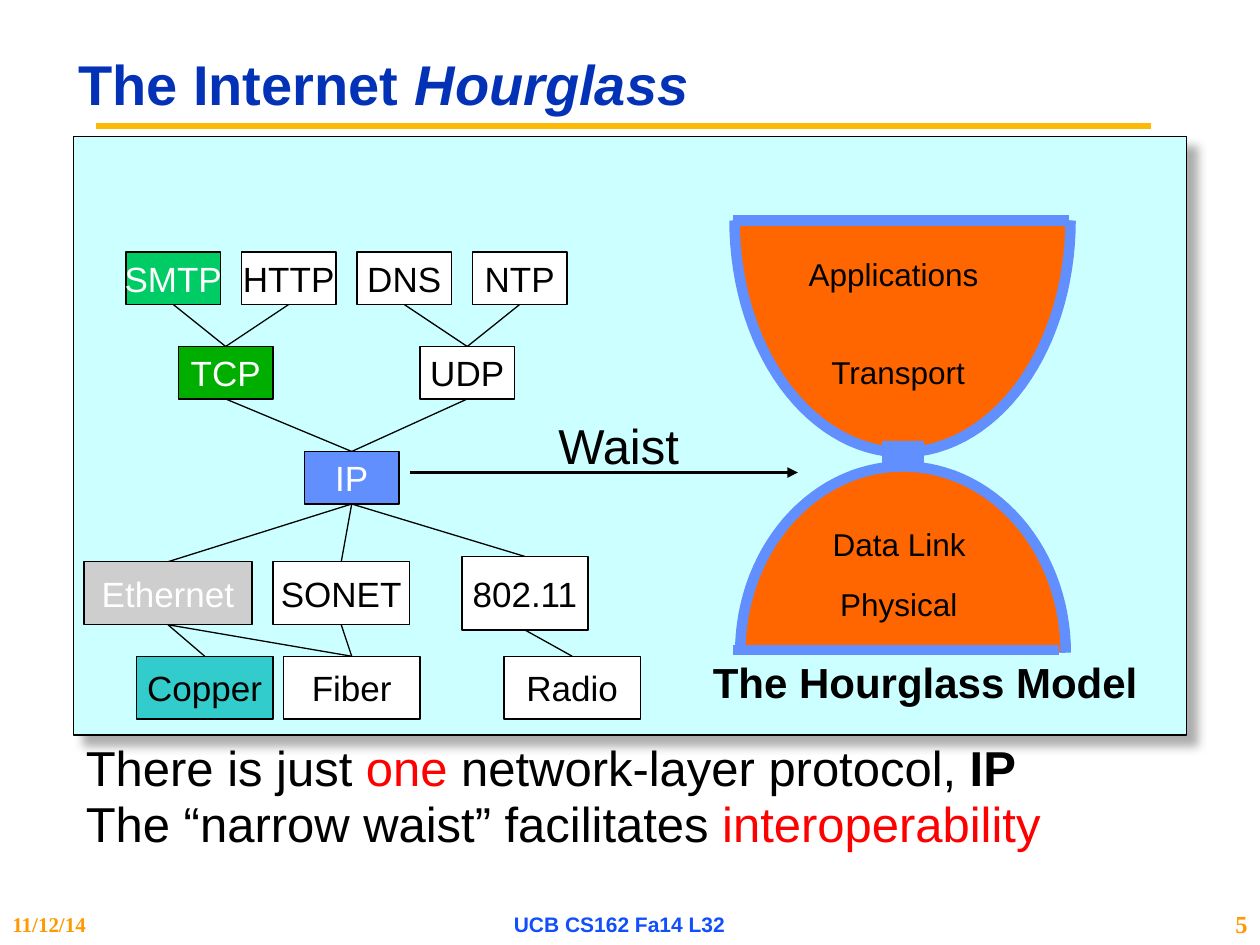
"""Build the Internet hourglass slide: a protocol graph beside the hourglass model."""
import math

from lxml import etree
from pptx import Presentation
from pptx import util as u
from pptx.dml.color import RGBColor
from pptx.enum import shapes, text
from pptx.oxml.ns import qn

BLACK, WHITE, RED = "000000", "FFFFFF", "FF0000"
BLUE, ORANGE, GOLD = "618FFD", "FF6600", "FF9900"
LEFT, CENTER, RIGHT = text.PP_ALIGN.LEFT, text.PP_ALIGN.CENTER, text.PP_ALIGN.RIGHT
TOP, MIDDLE = text.MSO_ANCHOR.TOP, text.MSO_ANCHOR.MIDDLE

TITLE = [("The Internet ", "0332B7", "b"), ("Hourglass", "0332B7", "bi")]

ROWS = [
    (144, 54, 30, [("SMTP", 72, "00CC66", WHITE), ("HTTP", 138, WHITE, BLACK),
                   ("DNS", 204, WHITE, BLACK), ("NTP", 270, WHITE, BLACK)]),
    (198, 54, 30, [("TCP", 102, "00AE00", WHITE), ("UDP", 240, WHITE, BLACK)]),
    (258, 54, 30, [("IP", 174, BLUE, WHITE)]),
    (321, 96, 36, [("Ethernet", 48, "CECECE", WHITE)]),
    (321, 78, 36, [("SONET", 156, WHITE, BLACK)]),
    (318, 72, 42, [("802.11", 264, WHITE, BLACK)]),
    (375, 78, 36, [("Copper", 78, "33CCCC", BLACK), ("Fiber", 162, WHITE, BLACK),
                   ("Radio", 288, WHITE, BLACK)]),
]

LINKS = [
    ("SMTP", "TCP"), ("HTTP", "TCP"), ("DNS", "UDP"), ("NTP", "UDP"),
    ("TCP", "IP"), ("UDP", "IP"),
    ("IP", "Ethernet"), ("IP", "SONET"), ("IP", "802.11"),
    ("Ethernet", "Copper"), ("Ethernet", "Fiber"), ("SONET", "Fiber"), ("802.11", "Radio"),
]

BOWLS = [(515.75, 126, 96, 132.5), (516, 373, 93, -106.5)]
RIMS = [(419, 126, 611, 126), (419, 371.5, 605, 371.5)]

LABELS = [
    ("Applications", 455, 142, 160, 36, 18, ""),
    ("Transport", 468, 198, 126, 36, 18, ""),
    ("Data Link", 468.75, 296.5, 124, 36, 18, ""),
    ("Physical", 473, 330.5, 113, 36, 18, ""),
    ("The Hourglass Model", 400.25, 371.5, 260, 37, 24, "b"),
]

NOTES = [
    [("There is just ", BLACK, ""), ("one", RED, ""),
     (" network-layer protocol, ", BLACK, ""), ("IP", BLACK, "b")],
    [("The “narrow waist” facilitates ", BLACK, ""), ("interoperability", RED, "")],
]

FOOTERS = [
    ("11/12/14", 0, 120, LEFT, 12, "Times New Roman", GOLD),
    ("UCB CS162 Fa14 L32", 240, 228, CENTER, 12, "Arial", "114FFB"),
    ("5", 678, 42, RIGHT, 14, "Times New Roman", GOLD),
]


def color(value):
    return RGBColor.from_string(value)


def paint(shape, fill=None, line=None, weight=0.75):
    shape.shadow.inherit = False
    if fill:
        shape.fill.solid()
        shape.fill.fore_color.rgb = color(fill)
    if line:
        shape.line.color.rgb = color(line)
        shape.line.width = u.Pt(weight)
    else:
        shape.line.fill.background()


def add_rect(slide, area, fill, line=None):
    box = slide.shapes.add_shape(shapes.MSO_SHAPE.RECTANGLE, *map(u.Pt, area))
    paint(box, fill, line)
    return box


def add_line(slide, ends, line, weight=0.75, arrow=False):
    link = slide.shapes.add_connector(shapes.MSO_CONNECTOR.STRAIGHT, *map(u.Pt, ends))
    link.line.color.rgb = color(line)
    link.line.width = u.Pt(weight)
    if arrow:
        etree.SubElement(link.line._get_or_add_ln(), qn("a:tailEnd"), type="triangle")
    etree.SubElement(link._element.spPr, qn("a:effectLst"))


def write(shape, paragraphs, size, font="Arial", align=LEFT, anchor=TOP, wrap=True,
          spacing=1.0, before=0):
    frame = shape.text_frame
    frame.word_wrap = wrap
    frame.vertical_anchor = anchor
    for index, spans in enumerate(paragraphs):
        para = frame.add_paragraph() if index else frame.paragraphs[0]
        para.alignment = align
        para.line_spacing = spacing
        para.space_before = u.Pt(0 if index else before)
        for words, ink, style in spans:
            span = para.add_run()
            span.text = words
            span.font.name = font
            span.font.size = u.Pt(size)
            span.font.color.rgb = color(ink)
            span.font.bold = "b" in style
            span.font.italic = "i" in style


def add_text(slide, area, paragraphs, size, **options):
    write(slide.shapes.add_textbox(*map(u.Pt, area)), paragraphs, size, **options)


def add_panel(slide):
    panel = add_rect(slide, (42, 78, 636, 342), "CCFFFF", BLACK)
    effects = panel._element.spPr.find(qn("a:effectLst"))
    shadow = etree.SubElement(effects, qn("a:outerShdw"), blurRad=str(u.Pt(5)),
                              dist=str(u.Pt(8.5)), dir="2700000", algn="ctr", rotWithShape="0")
    tint = etree.SubElement(shadow, qn("a:srgbClr"), val="919191")
    etree.SubElement(tint, qn("a:alpha"), val="75000")


def add_bowl(slide, center, base, radius, depth, steps=60):
    angles = [math.pi * step / steps for step in range(steps + 1)]
    points = [(u.Pt(center - radius * math.cos(angle)), u.Pt(base + depth * math.sin(angle)))
              for angle in angles]
    builder = slide.shapes.build_freeform(*points[0])
    builder.add_line_segments(points[1:], close=False)
    paint(builder.convert_to_shape(), ORANGE, BLUE, 6)


def add_graph(slide):
    nodes = {name: (left, top, width, height, fill, ink)
             for top, width, height, row in ROWS for name, left, fill, ink in row}
    for upper, lower in LINKS:
        left, top, width, height = nodes[upper][:4]
        end_left, end_top, end_width = nodes[lower][:3]
        add_line(slide, (left + width / 2, top + height, end_left + end_width / 2, end_top), BLACK)
    for name, (*area, fill, ink) in nodes.items():
        write(add_rect(slide, area, fill, BLACK), [[(name, ink, "")]], 20,
              align=CENTER, anchor=MIDDLE, wrap=False)


def add_hourglass(slide):
    for bowl in BOWLS:
        add_bowl(slide, *bowl)
    for rim in RIMS:
        add_line(slide, rim, BLUE, 6)
    add_rect(slide, (504, 252, 24, 17), BLUE)
    for words, left, top, width, height, size, style in LABELS:
        add_text(slide, (left, top, width, height), [[(words, BLACK, style)]], size)


def main():
    deck = Presentation()
    deck.slide_width, deck.slide_height = u.Pt(720), u.Pt(540)
    slide = deck.slides.add_slide(deck.slide_layouts[5])
    title = slide.shapes.title
    title.left, title.top, title.width, title.height = map(u.Pt, (37.5, 5, 587, 90))
    write(title, [TITLE], 32, anchor=MIDDLE, spacing=0.9)
    add_line(slide, (55, 72, 657.5, 72), "FBBA03", 3.75)
    add_panel(slide)
    add_line(slide, (234, 270, 456, 270), BLACK, 2, arrow=True)
    add_hourglass(slide)
    add_text(slide, (312, 234, 126, 41), [[("Waist", BLACK, "")]], 28, before=3)
    add_text(slide, (42, 420, 606, 75), NOTES, 28, spacing=0.96, before=3)
    add_graph(slide)
    for words, left, width, align, size, font, ink in FOOTERS:
        add_text(slide, (left, 516, width, 24), [[(words, ink, "b")]], size,
                 font=font, align=align, anchor=MIDDLE)
    deck.save("out.pptx")


if __name__ == "__main__":
    main()
